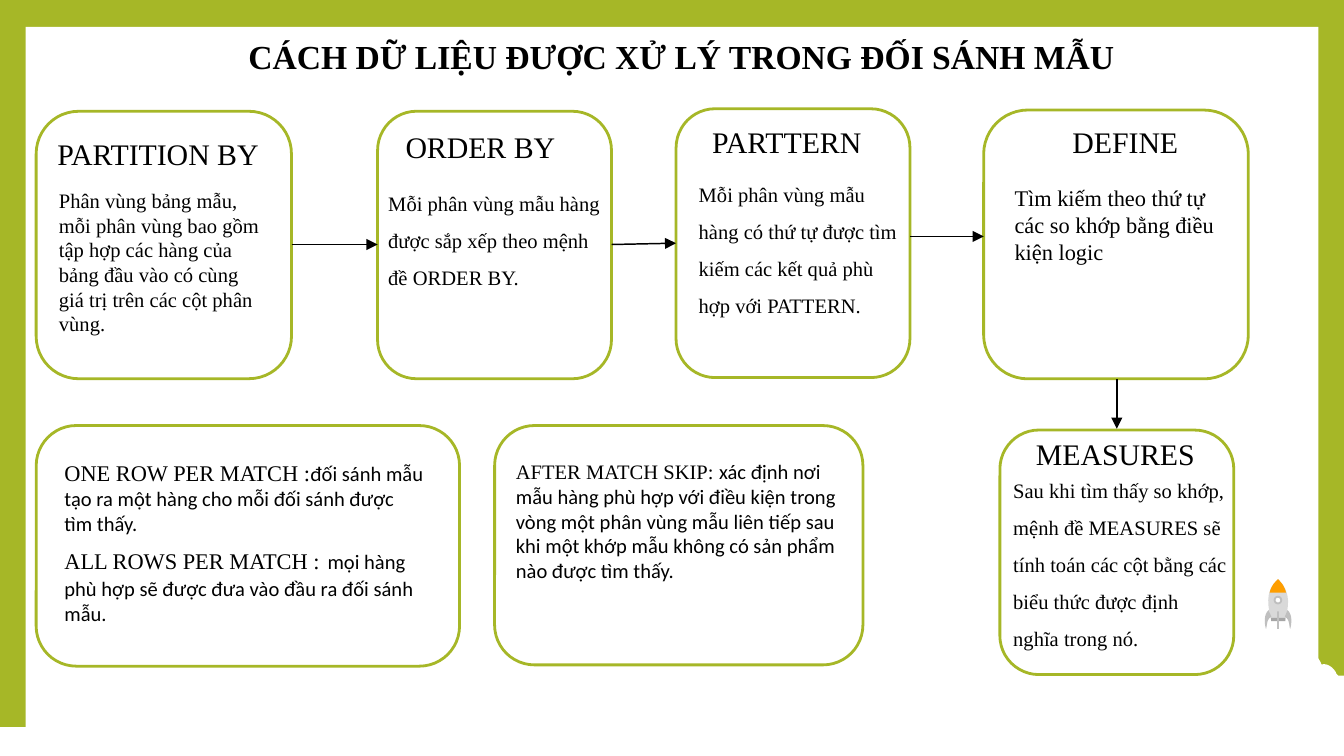
from pptx import Presentation
from pptx.dml.color import RGBColor
from pptx.enum.shapes import MSO_CONNECTOR, MSO_SHAPE
from pptx.enum.text import MSO_AUTO_SIZE
from pptx.oxml.ns import qn
from pptx.util import Pt
from lxml.etree import SubElement

GREEN = RGBColor(0xA6, 0xB7, 0x27)
WHITE = RGBColor(0xFF, 0xFF, 0xFF)
BLACK = RGBColor(0, 0, 0)
HULL = RGBColor(0xD9, 0xD9, 0xD9)
FIN = RGBColor(0xBF, 0xBF, 0xBF)
BASE = RGBColor(0xA6, 0xA6, 0xA6)
NOSE = RGBColor(0xFE, 0x9E, 0x00)
SERIF, SANS = "Times New Roman", "Calibri"


def trace(start, steps, pieces=8):
    points = [start]
    for step in steps:
        if len(step) == 2:
            points.append(step)
            continue
        x0, y0 = points[-1]
        x1, y1, x2, y2, x3, y3 = step
        for i in range(1, pieces + 1):
            t = i / pieces
            u = 1 - t
            a, b, c, d = u ** 3, 3 * u * u * t, 3 * u * t * t, t ** 3
            points.append((a * x0 + b * x1 + c * x2 + d * x3,
                           a * y0 + b * y1 + c * y2 + d * y3))
    return points


class Board:
    def __init__(self, slide):
        self.slide = slide
        self.shapes = slide.shapes
        fill = slide.background.fill
        fill.solid()
        fill.fore_color.rgb = GREEN

    def paint(self, shape, fill, line=None, width=1.5):
        shape.shadow.inherit = False
        shape.fill.solid()
        shape.fill.fore_color.rgb = fill
        if line is None:
            shape.line.fill.background()
        else:
            shape.line.color.rgb = line
            shape.line.width = Pt(width)

    def shape(self, kind, box, fill, line=None, width=1.5):
        self.paint(self.shapes.add_shape(kind, *map(Pt, box)), fill, line, width)

    def card(self, *box):
        self.shape(MSO_SHAPE.ROUNDED_RECTANGLE, box, WHITE, GREEN)

    def outline(self, points, fill):
        corners = [(Pt(x), Pt(y)) for x, y in points]
        builder = self.shapes.build_freeform(*corners[0])
        builder.add_line_segments(corners[1:], close=True)
        self.paint(builder.convert_to_shape(), fill)

    def text(self, box, paragraphs, wrap=True, spacing=None):
        frame = self.shapes.add_textbox(*map(Pt, box)).text_frame
        frame.word_wrap = wrap
        frame.auto_size = MSO_AUTO_SIZE.SHAPE_TO_FIT_TEXT
        for index, runs in enumerate(paragraphs):
            paragraph = frame.add_paragraph() if index else frame.paragraphs[0]
            if spacing:
                paragraph.line_spacing = spacing
            for words, size, face, bold in runs:
                run = paragraph.add_run()
                run.text = words
                run.font.size = Pt(size)
                run.font.name = face
                run.font.bold = bold
                run.font.color.rgb = BLACK

    def heading(self, box, words, size=16, bold=False):
        self.text(box, [[(words, size, SERIF, bold)]], wrap=False)

    def body(self, box, paragraphs, size=11, spacing=None):
        self.text(box, [[(words, size, SERIF, False)] for words in paragraphs],
                  spacing=spacing)

    def arrow(self, *ends):
        connector = self.shapes.add_connector(MSO_CONNECTOR.STRAIGHT, *map(Pt, ends))
        connector.line.color.rgb = BLACK
        connector.line.width = Pt(0.79)
        SubElement(connector.line._get_or_add_ln(), qn("a:tailEnd"), type="triangle")
        SubElement(connector._element.spPr, qn("a:effectLst"))


deck = Presentation()
deck.slide_width, deck.slide_height = Pt(720), Pt(405)
board = Board(deck.slides.add_slide(deck.slide_layouts[6]))

board.shape(MSO_SHAPE.RECTANGLE, (13.7, 14.4, 692.6, 391), WHITE)
board.shape(MSO_SHAPE.RECTANGLE, (0, 389.5, 720, 17.3), WHITE)

smoke = trace((681, 330), [
    (688, 330), (689, 343), (690, 343), (693, 344, 695, 346, 696, 348),
    (697, 349), (698, 348), (702, 348, 706, 351, 708, 356),
    (711, 355, 715, 358, 716, 361), (717, 362), (720, 362), (720, 403),
    (718, 403), (715, 403, 713, 402, 710, 401), (706, 404, 701, 402, 698, 399),
    (695, 404, 688, 403, 685, 400), (675, 406, 663, 405, 657, 397),
    (652, 399, 644, 398, 643, 391), (638, 395, 630, 391, 630, 384),
    (630, 379, 635, 375, 640, 377), (640, 370, 645, 364, 654, 364),
    (657, 361, 660, 361, 665, 361), (664, 357, 666, 355, 669, 353),
    (670, 346, 675, 344, 680, 345)])
hull = trace((681, 332.6), [(679.7, 326, 676.8, 316.8, 684.7, 310.3),
                            (692.6, 317.5, 689.8, 326.9, 688.3, 332.6)])
nose = trace((684.7, 310.3), [(686.9, 312.5, 688.3, 314.6, 689, 317.5),
                              (680.2, 317.5),
                              (680.9, 314.6, 682.3, 312.5, 684.7, 310.3)])
left_fin = trace((679.7, 326.9), [(681.1, 330.5),
                                  (678.2, 331.9, 679, 335.5, 678.2, 337),
                                  (677.5, 334.8, 676.8, 329, 679.7, 326.9)])
right_fin = [(1369.4 - x, y) for x, y in left_fin]

board.outline(smoke, WHITE)
board.outline(hull, HULL)
board.shape(MSO_SHAPE.RECTANGLE, (681, 331, 7.6, 1.8), BASE)
board.outline(nose, NOSE)
board.shape(MSO_SHAPE.OVAL, (682.8, 319.7, 3.6, 3.6), WHITE, FIN, 1)
board.shape(MSO_SHAPE.RECTANGLE, (684.2, 327.6, 0.9, 9.4), FIN)
for fin in (left_fin, right_fin):
    board.outline(fin, FIN)

board.heading((126, 15.8, 480.2, 28.8), "CÁCH DỮ LIỆU ĐƯỢC XỬ LÝ TRONG ĐỐI SÁNH MẪU", 18, True)

board.card(19.4, 59.6, 136.8, 143.3)
board.heading((23.6, 69.1, 125.3, 26.6), "PARTITION BY")
board.body((24.5, 97.2, 125.3, 100.8), [
    "Phân vùng bảng mẫu, mỗi phân vùng bao gồm tập hợp các hàng của "
    "bảng đầu vào có cùng giá trị trên các cột phân vùng."])

board.card(202.3, 59.6, 125.3, 143.3)
board.heading((210.2, 65.5, 98.6, 26.6), "ORDER BY ")
board.body((200.9, 92.2, 128.2, 64.8),
           ["Mỗi phân vùng mẫu hàng được sắp xếp theo mệnh đề ORDER BY."], spacing=1.5)

board.card(362.2, 58.3, 125.3, 144)
board.heading((374.4, 62.6, 95, 26.6), "PARTTERN")
board.body((367.2, 87.1, 123.8, 85), [
    "Mỗi phân vùng mẫu hàng có thứ tự được tìm kiếm các kết quả phù "
    "hợp với PATTERN. "], spacing=1.5)

board.card(527, 59, 141.8, 144)
board.heading((567.4, 62.6, 73.4, 26.6), "DEFINE")
board.body((536.4, 95, 123.1, 51.1),
           ["Tìm kiếm theo thứ tự các so khớp bằng điều kiện logic"], size=12)

board.card(535.7, 230.4, 125.3, 131)
board.heading((547.9, 229.7, 100.8, 26.6), "MEASURES")
board.body((535.7, 246.2, 128.9, 105.1), [
    "Sau khi tìm thấy so khớp,",
    "mệnh đề MEASURES sẽ tính toán các cột bằng các biểu thức được định "
    "nghĩa trong nó."], spacing=1.5)

board.card(19.4, 228, 226.8, 128.9)
board.text((27.4, 242.6, 208.1, 97.2), [
    [("ONE ROW PER MATCH :", 12, SERIF, False),
     ("đối sánh mẫu tạo ra một hàng cho mỗi đối sánh được tìm thấy.", 11, SANS, False)],
    [("ALL ROWS PER MATCH :", 12, SERIF, False),
     (" ", 18, SANS, False),
     ("mọi hàng phù hợp sẽ được đưa vào đầu ra đối sánh mẫu.", 11, SANS, False)]])

board.card(265, 228, 197.3, 128.2)
board.text((269.3, 242.6, 187.2, 74.2), [
    [("AFTER MATCH SKIP: ", 11, SERIF, False),
     ("xác định nơi mẫu hàng phù hợp với điều kiện trong vòng một phân vùng mẫu "
      "liên tiếp sau khi một khớp mẫu không có sản phẩm nào được tìm thấy.",
      11, SANS, False)]])

for ends in ((156.2, 131, 202.3, 131), (327.6, 131, 362.2, 130.3),
             (487.4, 126.7, 527, 126.7), (598.3, 203, 598.3, 229.7)):
    board.arrow(*ends)

deck.save("out.pptx")
